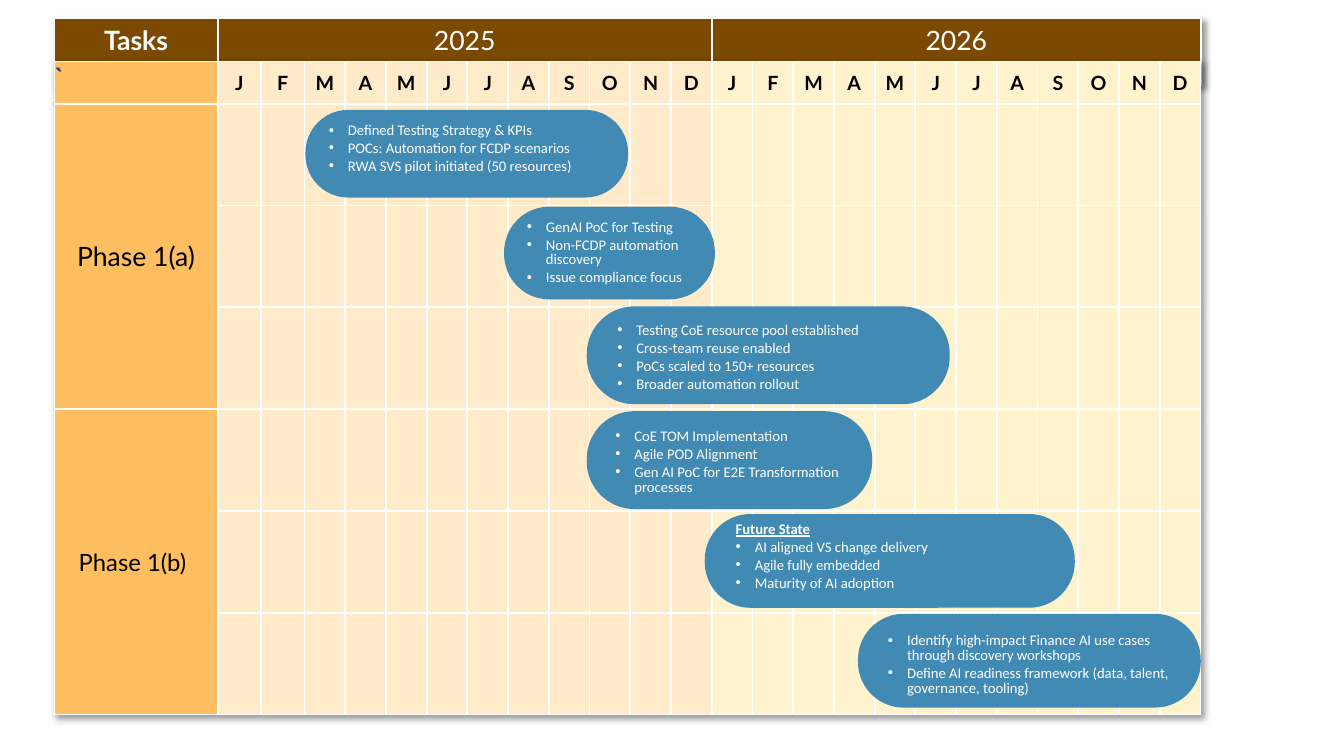
import pptx
import pptx.util
import pptx.dml.color
import pptx.enum.shapes
import pptx.enum.text
import pptx.oxml
import pptx.oxml.ns

Inches = pptx.util.Inches
Pt = pptx.util.Pt
RGBColor = pptx.dml.color.RGBColor
ALIGN = pptx.enum.text.PP_ALIGN
ANCHOR = pptx.enum.text.MSO_ANCHOR
ROUNDED = pptx.enum.shapes.MSO_SHAPE.ROUNDED_RECTANGLE

WHITE = RGBColor(0xFF, 0xFF, 0xFF)
BLACK = RGBColor(0, 0, 0)
NAVY = RGBColor(0x1F, 0x49, 0x7D)
BROWN = RGBColor(0x7B, 0x49, 0x00)
ORANGE = RGBColor(0xFF, 0xBF, 0x61)
PEACH = RGBColor(0xFF, 0xEA, 0xCA)
CREAM = RGBColor(0xFF, 0xF3, 0xCD)
BLUE = RGBColor(0x41, 0x8A, 0xB3)

NS = pptx.oxml.ns.nsdecls("a")
MONTHS = "JFMAMJJASOND"
TASKS_WIDTH = 1.62
YEAR_WIDTHS = (4.9, 4.85)
WIDE_MONTH = 0.43
MONTH_WIDTHS = (
    [WIDE_MONTH] * 2
    + [(YEAR_WIDTHS[0] - 2 * WIDE_MONTH) / 10] * 10
    + [YEAR_WIDTHS[1] / 12] * 12
)

MILESTONES = [
    ((3.03, 1.09, 3.2, 0.87), (0.05, 0.1, 0.58), None,
     ["Defined Testing Strategy & KPIs",
      "POCs: Automation for FCDP scenarios",
      "RWA SVS pilot initiated (50 resources)"]),
    ((5, 2.05, 2.09, 0.92), (0.03, 0.12, 0.68), None,
     ["GenAI PoC for Testing",
      "Non-FCDP automation discovery",
      "Issue compliance focus"]),
    ((5.82, 3.04, 3.6, 0.97), (0.09, 0.11, 0.8), None,
     ["Testing CoE resource pool established",
      "Cross-team reuse enabled",
      "PoCs scaled to 150+ resources",
      "Broader automation rollout"]),
    ((5.82, 4.08, 2.83, 0.97), (0.07, 0.11, 0.8), None,
     ["CoE TOM Implementation",
      "Agile POD Alignment",
      "Gen AI PoC for E2E Transformation processes"]),
    ((6.99, 5.1, 3.67, 0.93), (0.1, 0.13, 0.76), "Future State",
     ["AI aligned VS change delivery",
      "Agile fully embedded",
      "Maturity of AI adoption"]),
    ((8.51, 6.09, 3.4, 0.93), (0.09, 0.13, 0.76), None,
     ["Identify high-impact Finance AI use cases through discovery workshops",
      "Define AI readiness framework (data, talent, governance, tooling)"]),
]


def add_grid(slide, left, top, widths, heights):
    frame = slide.shapes.add_table(
        len(heights), len(widths), Inches(left), Inches(top),
        Inches(sum(widths)), Inches(sum(heights)))
    grid = frame.table
    grid.first_row = grid.horz_banding = False
    for column, width in zip(grid.columns, widths):
        column.width = Inches(width)
    for row, height in zip(grid.rows, heights):
        row.height = Inches(height)
    grid._tbl.tblPr.insert(0, pptx.oxml.parse_xml(
        f'<a:effectLst {NS}><a:outerShdw blurRad="50800" dist="38100" '
        'dir="2700000" algn="tl" rotWithShape="0"><a:prstClr val="black">'
        '<a:alpha val="40000"/></a:prstClr></a:outerShdw></a:effectLst>'))
    return grid


def paint_cell(cell, color):
    cell.fill.solid()
    cell.fill.fore_color.rgb = color
    properties = cell._tc.get_or_add_tcPr()
    for position, side in enumerate("LRTB"):
        properties.insert(position, pptx.oxml.parse_xml(
            f'<a:ln{side} {NS} w="19050"><a:solidFill>'
            f'<a:srgbClr val="{WHITE}"/></a:solidFill></a:ln{side}>'))


def write_cell(cell, text, size, color, bold=False, align=ALIGN.CENTER,
               anchor=ANCHOR.MIDDLE, margins=(0.11, 0.06)):
    cell.text = text
    cell.vertical_anchor = anchor
    cell.margin_left = cell.margin_right = Inches(margins[0])
    cell.margin_top = cell.margin_bottom = Inches(margins[1])
    label = cell.text_frame.paragraphs[0]
    label.alignment = align
    label.font.name = "Lato"
    label.font.size = Pt(size)
    label.font.bold = bold
    label.font.color.rgb = color


def add_year_header(slide, left, top):
    header = add_grid(slide, left, top, (TASKS_WIDTH, *YEAR_WIDTHS), [0.66])
    for column, text in enumerate(("Tasks", "2025", "2026")):
        cell = header.cell(0, column)
        paint_cell(cell, BROWN)
        write_cell(cell, text, 19, WHITE, column == 0, anchor=ANCHOR.TOP)


def add_calendar(slide, left, top):
    calendar = add_grid(slide, left, top, [TASKS_WIDTH] + MONTH_WIDTHS,
                        [0.42] + [1.01] * 6)
    for row in range(7):
        for column in range(25):
            color = ORANGE if column == 0 else PEACH if column <= 12 else CREAM
            paint_cell(calendar.cell(row, column), color)
    write_cell(calendar.cell(0, 0), "`", 19, NAVY, True, ALIGN.LEFT,
               ANCHOR.TOP, (0, 0))
    for column, month in enumerate(MONTHS * 2, 1):
        write_cell(calendar.cell(0, column), month, 14, BLACK, True,
                   margins=(0, 0))
    for row, phase, size, align in ((1, "Phase 1(a)", 19, ALIGN.CENTER),
                                    (4, "Phase 1(b)", 17, ALIGN.LEFT)):
        phase_cell = calendar.cell(row, 0)
        phase_cell.merge(calendar.cell(row + 2, 0))
        write_cell(phase_cell, phase, size, BLACK, align=align)
        if align == ALIGN.LEFT:
            phase_cell.margin_left = Inches(0.24)


def add_pill(group, left, top, width, height):
    pill = group.shapes.add_shape(ROUNDED, Inches(left), Inches(top),
                                  Inches(width), Inches(height))
    pill.adjustments[0] = 0.487
    pill.shadow.inherit = False
    pill.fill.solid()
    pill.fill.fore_color.rgb = BLUE
    pill.line.fill.background()
    return pill


def add_milestone(slide, box, inset, heading, points):
    left, top, width, height = box
    side, drop, text_height = inset
    group = slide.shapes.add_group_shape()
    add_pill(group, left, top, width, height)
    body = add_pill(group, left + side, top + drop, width - 2 * side,
                    text_height).text_frame
    body.word_wrap = True
    body.vertical_anchor = ANCHOR.MIDDLE
    if heading:
        body.margin_bottom = Inches(0.22)
    lines = [heading] * bool(heading) + points
    for number, line in enumerate(lines):
        point = body.add_paragraph() if number else body.paragraphs[0]
        point.text = line
        point.alignment = ALIGN.LEFT
        point.line_spacing = 0.85
        point.space_before = Pt(2.1)
        point.font.name = "Calibri"
        point.font.size = Pt(10.5)
        point.font.color.rgb = WHITE
        if line == heading:
            point.font.bold = point.font.underline = True
            continue
        properties = point._p.get_or_add_pPr()
        properties.set("marL", str(Inches(0.19)))
        properties.set("indent", str(-Inches(0.19)))
        bullet_font = pptx.oxml.parse_xml(f'<a:buFont {NS} typeface="Arial"/>')
        bullet = pptx.oxml.parse_xml(f'<a:buChar {NS} char="•"/>')
        spacing = properties.find(pptx.oxml.ns.qn("a:spcBef"))
        spacing.addnext(bullet_font)
        bullet_font.addnext(bullet)


def main():
    deck = pptx.Presentation()
    deck.slide_width = Inches(13.33)
    deck.slide_height = Inches(7.5)
    roadmap = deck.slides.add_slide(deck.slide_layouts[6])
    add_year_header(roadmap, 0.54, 0.18)
    add_calendar(roadmap, 0.54, 0.61)
    for milestone in MILESTONES:
        add_milestone(roadmap, *milestone)
    deck.save("out.pptx")


if __name__ == "__main__":
    main()
